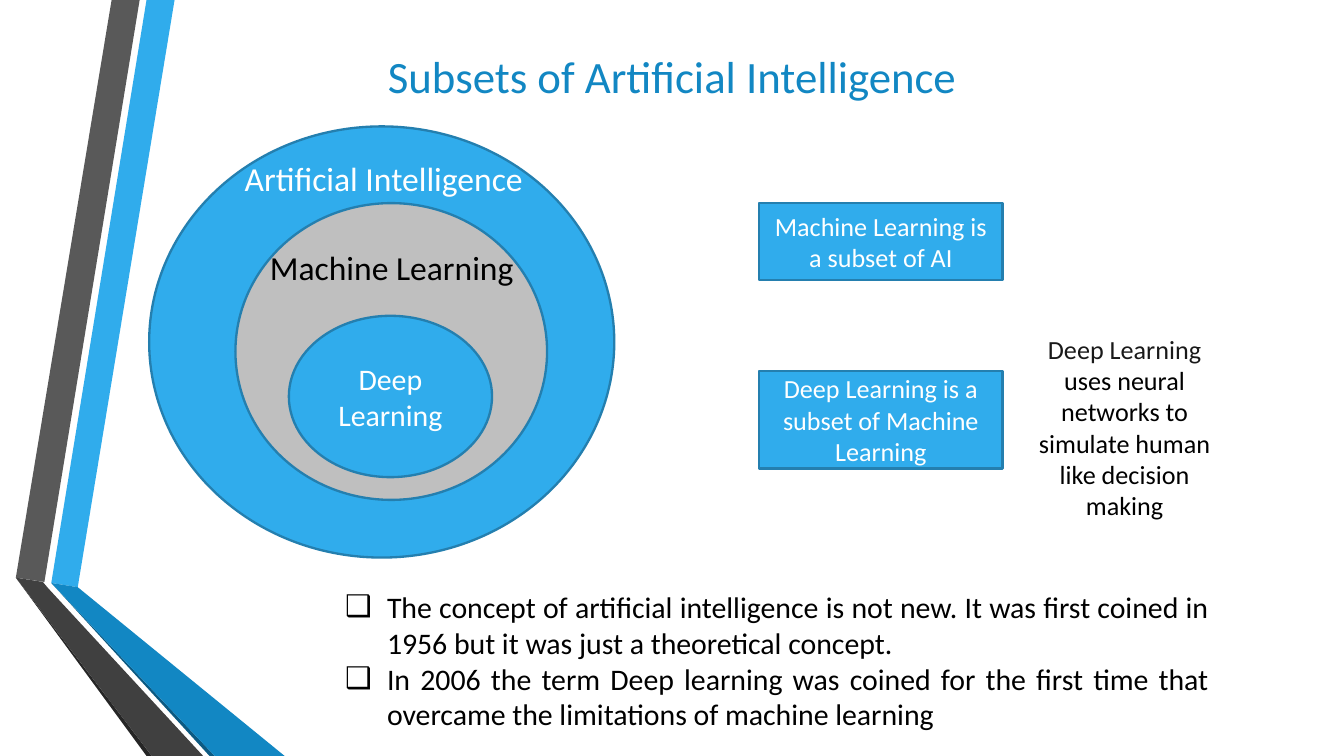
import pptx
import pptx.dml.color
import pptx.enum.shapes
import pptx.enum.text
import pptx.oxml
import pptx.oxml.ns
import pptx.util

Cm = pptx.util.Cm
Pt = pptx.util.Pt
RGBColor = pptx.dml.color.RGBColor
ALIGN = pptx.enum.text.PP_ALIGN
ANCHOR = pptx.enum.text.MSO_ANCHOR
KIND = pptx.enum.shapes.MSO_SHAPE

FONT = "Calibri"
BLUE = RGBColor(0x30, 0xAC, 0xEC)
DEEP = RGBColor(0x12, 0x87, 0xC3)
NAVY = RGBColor(0x0C, 0x5A, 0x82)
EDGE = RGBColor(0x24, 0x7F, 0xAF)
SILVER = RGBColor(0xBF, 0xBF, 0xBF)
GREY = RGBColor(0x59, 0x59, 0x59)
COAL = RGBColor(0x40, 0x40, 0x40)
SOOT = RGBColor(0x26, 0x26, 0x26)
INK = RGBColor(0x19, 0x19, 0x19)
BLACK = RGBColor(0, 0, 0)
WHITE = RGBColor(0xFF, 0xFF, 0xFF)


def inner(box, left, top, width, height):
    return box[0] + left, box[1] + top, width, height


def place(shape, box):
    shape.left, shape.top, shape.width, shape.height = map(Cm, box)


def style(frame, size, color, align=ALIGN.CENTER):
    for para in frame.paragraphs:
        para.alignment = align
        for run in para.runs:
            run.font.name = FONT
            run.font.size = Pt(size)
            run.font.color.rgb = color


def paint(shape, fill):
    shape.shadow.inherit = False
    shape.fill.solid()
    shape.fill.fore_color.rgb = fill


def block(slide, kind, box, fill, text="", size=14):
    shape = slide.shapes.add_shape(kind, *map(Cm, box))
    paint(shape, fill)
    shape.line.color.rgb = EDGE
    shape.line.width = Pt(1.25)
    if text:
        frame = shape.text_frame
        frame.text = text
        frame.vertical_anchor = ANCHOR.MIDDLE
        style(frame, size, WHITE)


def label(slide, box, text, size, color, wrap=False):
    frame = slide.shapes.add_textbox(*map(Cm, box)).text_frame
    frame.word_wrap = wrap
    frame.text = text
    style(frame, size, color)
    return frame


def ribbon(slide, box):
    left, top, width, base = box
    bands = [
        (BLUE, [(0.67, 11.02), (1.17, 11.1), (3, 0), (2.47, 0)]),
        (GREY, [(2.34, 0), (1.81, 0), (0, 10.92), (0.54, 11)]),
        (SOOT, [(0, 10.92), (2.47, base), (2.57, base)]),
        (NAVY, [(0.67, 11.02), (3.66, base), (3.76, base)]),
        (DEEP, [(0.67, 11.02), (3.76, base), (width, base), (1.17, 11.1)]),
        (COAL, [(3.54, base), (0.61, 11.12), (0.51, 11), (0, 10.92), (2.57, base)]),
    ]
    for color, points in bands:
        spots = [(Cm(left + x), Cm(top + y)) for x, y in points]
        pen = slide.shapes.build_freeform(*spots[0], scale=1.0)
        pen.add_line_segments(spots[1:], close=True)
        shape = pen.convert_to_shape()
        paint(shape, color)
        shape.line.fill.background()


def heading(slide, box):
    title = slide.shapes.title
    place(title, box)
    frame = title.text_frame
    frame.text = "Subsets of Artificial Intelligence"
    frame.vertical_anchor = ANCHOR.MIDDLE
    style(frame, 24, DEEP)


def circles(slide, box):
    block(slide, KIND.OVAL, box, BLUE)
    block(slide, KIND.OVAL, inner(box, 1.63, 1.45, 5.89, 5.61), SILVER)
    block(slide, KIND.OVAL, inner(box, 2.64, 3.58, 3.84, 3.05), BLUE, "Deep Learning", 16)
    label(slide, inner(box, 1.35, 0.48, 6.17, 1.02), "Artificial Intelligence", 18, WHITE)
    label(slide, inner(box, 1.78, 2.16, 5.61, 1.02), "Machine Learning", 18, BLACK)


def facts(slide, box):
    block(slide, KIND.RECTANGLE, inner(box, 0, 0, 4.6, 1.45), BLUE,
          "Machine Learning is a subset of AI")
    block(slide, KIND.RECTANGLE, inner(box, 0, 3.17, 4.6, 1.85), BLUE,
          "Deep Learning is a subset of Machine Learning")
    frame = label(slide, inner(box, 4.95, 2.33, 3.91, 3.84), "Deep Learning ", 14, INK, True)
    run = frame.paragraphs[0].add_run()
    run.text = "uses neural networks to simulate human like decision making"
    run.font.name = FONT
    run.font.size = Pt(14)
    run.font.color.rgb = BLACK


def notes(slide, box):
    body = slide.placeholders[1]
    place(body, box)
    frame = body.text_frame
    frame.auto_size = pptx.enum.text.MSO_AUTO_SIZE.NONE
    frame.text = "\n".join([
        "The concept of artificial intelligence is not new. It was first coined in 1956 "
        "but it was just a theoretical concept.",
        "In 2006 the term Deep learning was coined for the first time that overcame "
        "the limitations of machine learning",
    ])
    style(frame, 16, BLACK, ALIGN.JUSTIFY)
    for para in frame.paragraphs:
        para.space_before = Pt(0)
        props = para._p.get_or_add_pPr()
        props.set("marL", str(Cm(0.79)))
        props.set("indent", str(-Cm(0.79)))
        mark = pptx.oxml.parse_xml(
            f'<a:buChar {pptx.oxml.ns.nsdecls("a")} char="❑"/>')
        props.append(mark)


def main():
    deck = pptx.Presentation()
    deck.slide_width = Cm(25.4)
    deck.slide_height = Cm(14.29)
    slide = deck.slides.add_slide(deck.slide_layouts[1])
    ribbon(slide, (0.3, 0, 5.08, 14.29))
    heading(slide, (1.27, 0.05, 22.86, 2.74))
    circles(slide, (2.82, 2.39, 8.79, 8.15))
    facts(slide, (14.35, 3.84, 8.86, 6.17))
    notes(slide, (6.27, 11, 16.84, 3))
    deck.save("out.pptx")


if __name__ == "__main__":
    main()
